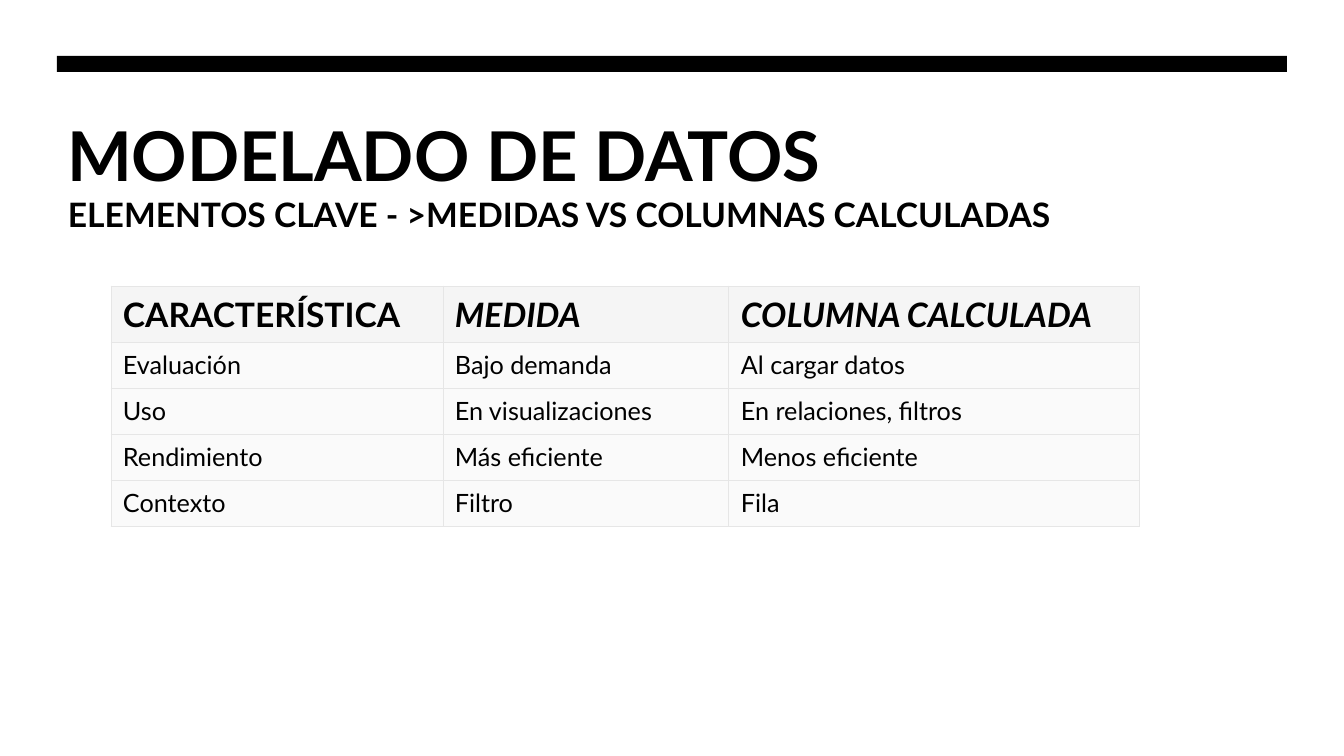
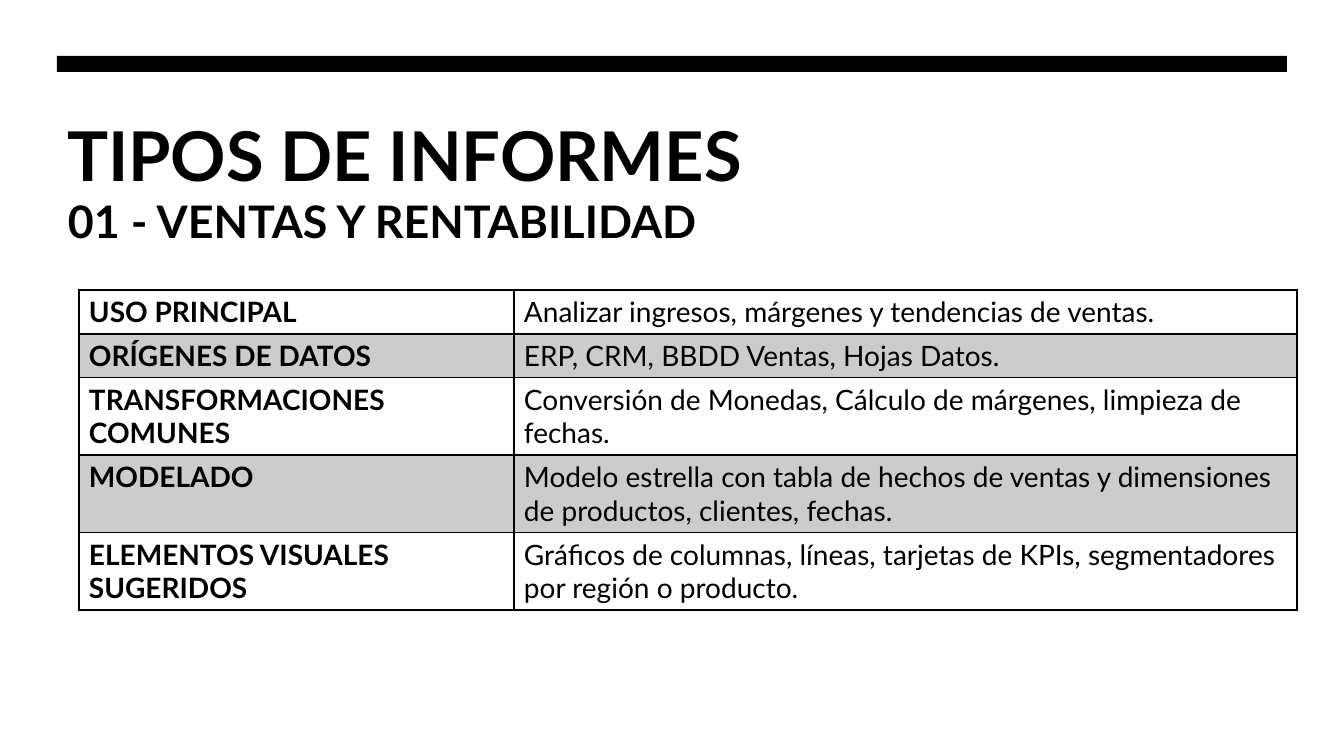
from lxml import etree
from pptx import Presentation
from pptx.dml.color import RGBColor
from pptx.enum.shapes import MSO_SHAPE
from pptx.enum.text import MSO_ANCHOR, MSO_AUTO_SIZE, PP_ALIGN
from pptx.oxml.ns import qn
from pptx.util import Pt

RECTANGLE = MSO_SHAPE.RECTANGLE
TOP, LEFT, FIXED = MSO_ANCHOR.TOP, PP_ALIGN.LEFT, MSO_AUTO_SIZE.NONE

EMU_PER_PX = 914400 / 100.8
PAGE_WIDTH, PAGE_HEIGHT = 1344, 756
BAND_BOX = (57, 56, 1230, 16)
TITLE_BOX = (57, 108, 1230, 82)
SUBTITLE_BOX = (58, 189, 1229, 60)
TITLE_ONLY = 5
BAND_ID = 20

FONT = "Lato"
BLACK, GREY = "000000", "CCCCCC"
HEADER_FILL, BODY_FILL, PALE_LINE = "F5F5F5", "FAFAFA", "E6E6E6"

FEATURES = [
    ["CARACTERÍSTICA", "MEDIDA", "COLUMNA CALCULADA"],
    ["Evaluación", "Bajo demanda", "Al cargar datos"],
    ["Uso", "En visualizaciones", "En relaciones, filtros"],
    ["Rendimiento", "Más eficiente", "Menos eficiente"],
    ["Contexto", "Filtro", "Fila"],
]
REPORT = [
    ["USO PRINCIPAL", "Analizar ingresos, márgenes y tendencias de ventas."],
    ["ORÍGENES DE DATOS", "ERP, CRM, BBDD Ventas, Hojas Datos."],
    ["TRANSFORMACIONES COMUNES",
     "Conversión de Monedas, Cálculo de márgenes, limpieza de fechas."],
    ["MODELADO",
     "Modelo estrella con tabla de hechos de ventas y dimensiones de "
     "productos, clientes, fechas."],
    ["ELEMENTOS VISUALES SUGERIDOS",
     "Gráficos de columnas, líneas, tarjetas de KPIs, segmentadores por "
     "región o producto."],
]


def px(length):
    return round(length * EMU_PER_PX)


def color(value):
    return RGBColor.from_string(value)


def set_all(target, values):
    for name, value in values.items():
        setattr(target, name, value)


def write(frame, text, size, bold=False, italic=False):
    para = frame.paragraphs[0]
    para.alignment = LEFT
    span = para.add_run()
    span.text = text
    set_all(span.font, {"name": FONT, "size": Pt(size), "bold": bold, "italic": italic})
    span.font.color.rgb = color(BLACK)


def move(shape, box):
    set_all(shape, dict(zip(("left", "top", "width", "height"), map(px, box))))


def move_band_to_layout(page):
    """Draw the top band once, on the layout that all pages share."""
    band = page.shapes.add_shape(RECTANGLE, *map(px, BAND_BOX))
    band.shadow.inherit = False
    band.fill.solid()
    band.fill.fore_color.rgb = color(BLACK)
    band.line.fill.background()
    band.element.nvSpPr.cNvPr.id = BAND_ID
    page.slide_layout.shapes.element.append(band.element)


def add_heading(page, title, subtitle, subtitle_size):
    frame_format = {"word_wrap": True, "auto_size": FIXED, "vertical_anchor": TOP}
    heading = page.shapes.title
    move(heading, TITLE_BOX)
    set_all(heading.text_frame, frame_format)
    write(heading.text_frame, title, 49, bold=True)
    box = page.shapes.add_textbox(*map(px, SUBTITLE_BOX))
    set_all(box.text_frame, frame_format)
    write(box.text_frame, subtitle, subtitle_size, bold=True)


def add_borders(cell, line_color, widths):
    """Draw the sides of a cell; widths are points for left, right, top, bottom."""
    properties = cell._tc.get_or_add_tcPr()
    for side, width in zip(("lnL", "lnR", "lnT", "lnB"), widths):
        line = etree.SubElement(properties, qn(f"a:{side}"), w=str(Pt(width)))
        fill = etree.SubElement(line, qn("a:solidFill"))
        etree.SubElement(fill, qn("a:srgbClr"), val=line_color)


def add_grid(page, origin, widths, heights, rows, margins, cell_style):
    """Place a table; cell_style gives text format, fill, line colour and widths."""
    left, top = origin
    box = (left, top, sum(widths), sum(heights))
    table = page.shapes.add_table(len(rows), len(widths), *map(px, box)).table
    set_all(table, {"first_row": False, "horz_banding": False})
    for column, width in zip(table.columns, widths):
        column.width = px(width)
    for row_index, (row, height) in enumerate(zip(rows, heights)):
        table.rows[row_index].height = px(height)
        for column_index, text in enumerate(row):
            cell = table.cell(row_index, column_index)
            text_format, fill, line_color, line_widths = cell_style(row_index, column_index)
            names = ("margin_left", "margin_top", "margin_right", "margin_bottom")
            set_all(cell, dict(zip(names, map(px, margins))))
            add_borders(cell, line_color, line_widths)
            if fill:
                cell.fill.solid()
                cell.fill.fore_color.rgb = color(fill)
            else:
                cell.fill.background()
            write(cell.text_frame, text, **text_format)


def feature_style(row, column):
    header = row == 0
    text_format = {"size": 24 if header else 18, "bold": header,
                   "italic": header and column > 0}
    return text_format, HEADER_FILL if header else BODY_FILL, PALE_LINE, [0.75] * 4


def report_style(row, column):
    text_format = {"size": 20, "bold": column == 0}
    line_widths = (1, 1, 2 if row == 1 else 1, 2 if row == 0 else 1)
    return text_format, GREY if row % 2 else None, BLACK, line_widths


def build_features(page):
    add_heading(page, "MODELADO DE DATOS",
                "ELEMENTOS CLAVE - >MEDIDAS VS COLUMNAS CALCULADAS", 24)
    add_grid(page, (111, 286), (332, 286, 411), [56] + [46] * 4, FEATURES,
             (12, 8, 8, 7), feature_style)


def build_report(page):
    add_heading(page, "TIPOS DE INFORMES", "01 - VENTAS Y RENTABILIDAD", 32)
    add_grid(page, (79, 290), (435, 783), [43] * 2 + [77] * 3, REPORT,
             (10, 5, 10, 5), report_style)


def main():
    deck = Presentation()
    set_all(deck, {"slide_width": px(PAGE_WIDTH), "slide_height": px(PAGE_HEIGHT)})
    layout = deck.slide_layouts[TITLE_ONLY]
    pages = [deck.slides.add_slide(layout) for _ in range(2)]
    move_band_to_layout(pages[0])
    for build, page in zip((build_features, build_report), pages):
        build(page)
    deck.save("out.pptx")


if __name__ == "__main__":
    main()
